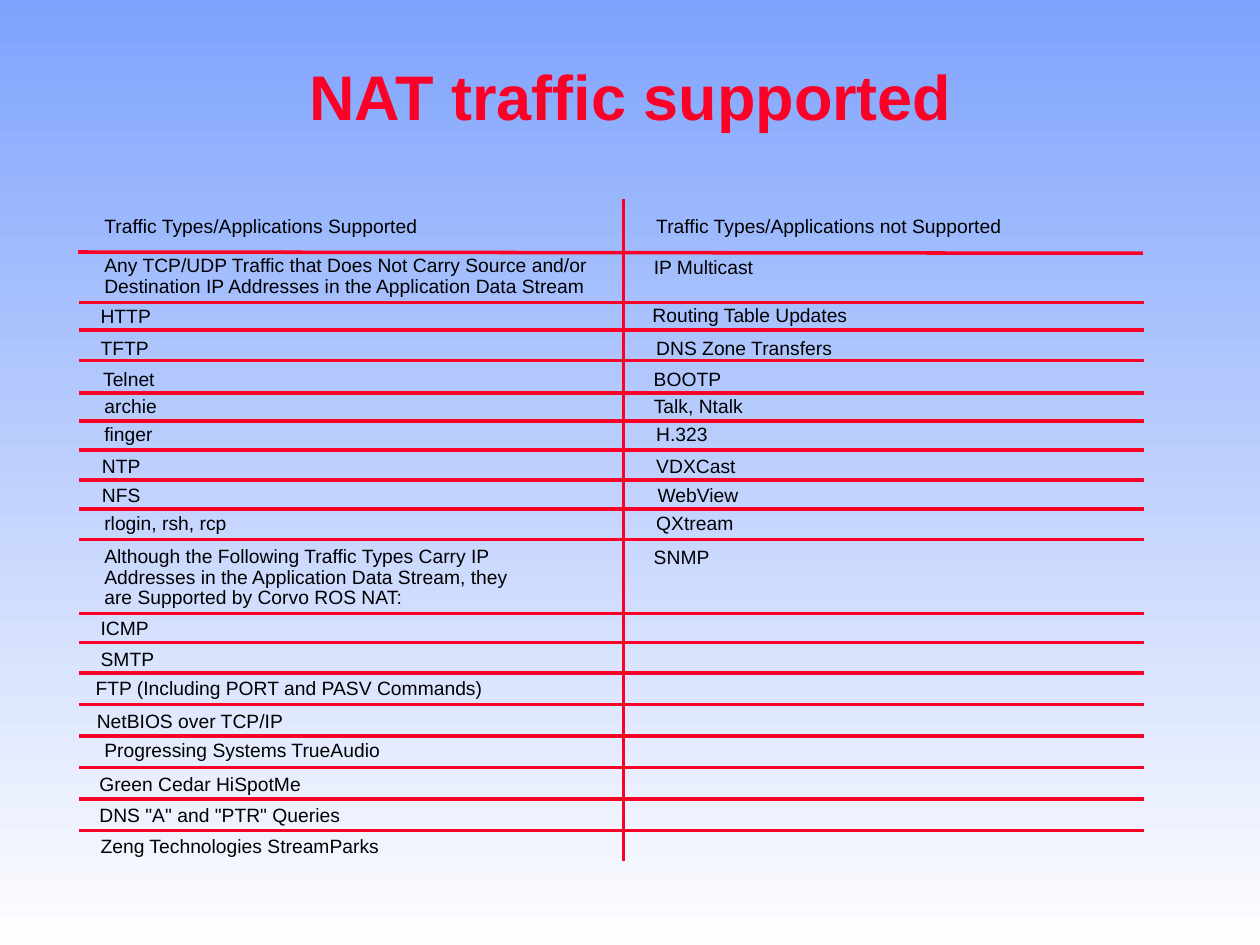
from lxml import etree
from pptx import Presentation
from pptx.dml.color import RGBColor
from pptx.enum.shapes import MSO_CONNECTOR
from pptx.enum.text import MSO_ANCHOR, MSO_AUTO_SIZE, PP_ALIGN
from pptx.oxml.ns import qn
from pptx.util import Pt

PX = 9144  # 100 px to the inch
STRAIGHT = MSO_CONNECTOR.STRAIGHT
GROW = MSO_AUTO_SIZE.SHAPE_TO_FIT_TEXT
RED = "FC0128"
BLACK = "000000"


def color(hex_string):
    return RGBColor.from_string(hex_string)


def write(frame, text, size=11, bold=False, ink=BLACK, align=PP_ALIGN.LEFT, spacing=0.9):
    paragraph = frame.paragraphs[0]
    paragraph.text = text
    paragraph.alignment = align
    paragraph.line_spacing = spacing
    for run in paragraph.runs:
        run.font.name = "Arial"
        run.font.size = Pt(size)
        run.font.bold = bold
        run.font.color.rgb = color(ink)


prs = Presentation()
prs.slide_width, prs.slide_height = 1000 * PX, 750 * PX
slide = prs.slides.add_slide(prs.slide_layouts[5])

sky = slide.background.fill
sky.gradient()
sky.gradient_angle = 270
for stop, shade in zip(sky.gradient_stops, ("7FA3FD", "FEFEFE")):
    stop.color.rgb = color(shade)

title = slide.shapes.title
title.left, title.top, title.width, title.height = 67 * PX, 41 * PX, 867 * PX, 75 * PX
title.text_frame.vertical_anchor = MSO_ANCHOR.MIDDLE
title.text_frame.auto_size = MSO_AUTO_SIZE.NONE
write(title.text_frame, "NAT traffic supported", size=36, bold=True, ink=RED,
      align=PP_ALIGN.CENTER, spacing=0.95)

# Each entry: left, top, width, text
supported = [
    (73, 167, 270, "Traffic Types/Applications Supported"),
    (73, 198, 437, "Any TCP/UDP Traffic that Does Not Carry Source and/or "
                   "Destination IP Addresses in the Application Data Stream"),
    (70, 239, 60, "HTTP"),
    (70, 264, 58, "TFTP"),
    (72, 289, 62, "Telnet"),
    (73, 310, 62, "archie"),
    (73, 332, 58, "finger"),
    (71, 358, 51, "NTP"),
    (71, 381, 51, "NFS"),
    (73, 403, 117, "rlogin, rsh, rcp"),
    (73, 429, 436, "Although the Following Traffic Types Carry IP\n"
                   "Addresses in the Application Data Stream, they\n"
                   "are Supported by Corvo ROS NAT:"),
    (70, 486, 58, "ICMP"),
    (70, 511, 62, "SMTP"),
    (66, 534, 329, "FTP (Including PORT and PASV Commands)"),
    (67, 560, 168, "NetBIOS over TCP/IP"),
    (73, 583, 244, "Progressing Systems TrueAudio"),
    (69, 610, 174, "Green Cedar HiSpotMe"),
    (69, 635, 211, 'DNS "A" and "PTR" Queries'),
    (70, 659, 243, "Zeng Technologies StreamParks"),
]
not_supported = [
    (511, 167, 296, "Traffic Types/Applications not Supported"),
    (509, 200, 99, "IP Multicast"),
    (508, 238, 177, "Routing Table Updates"),
    (511, 264, 160, "DNS Zone Transfers"),
    (509, 289, 74, "BOOTP"),
    (509, 310, 92, "Talk, Ntalk"),
    (511, 332, 61, "H.323"),
    (511, 358, 81, "VDXCast"),
    (512, 381, 82, "WebView"),
    (511, 403, 79, "QXtream"),
    (509, 430, 64, "SNMP"),
]
LINE_COUNTS = {supported[1]: 2, supported[10]: 3}

for entry in supported + not_supported:
    left, top, width, text = entry
    lines = LINE_COUNTS.get(entry, 1)
    height = 10 + 16 * lines
    frame = slide.shapes.add_textbox(left * PX, top * PX, width * PX, height * PX).text_frame
    frame.word_wrap = lines > 1
    frame.auto_size = GROW
    if lines == 1:
        frame.margin_right = 0  # room to stay on one line
    write(frame, text)

row_rules = [240, 262, 286, 312, 334, 357, 381, 404, 428,
             487, 510, 534, 559, 584, 609, 634, 659]
rules = [(62, 200, 907, 201)]
rules += [(63, y, 908, y) for y in row_rules]
rules.append((495, 158, 495, 683))

for ends in rules:
    rule = slide.shapes.add_connector(STRAIGHT, *(end * PX for end in ends))
    rule.line.color.rgb = color(RED)
    rule.line.width = Pt(2)
    etree.SubElement(rule._element.spPr, qn("a:effectLst"))

prs.save("out.pptx")
